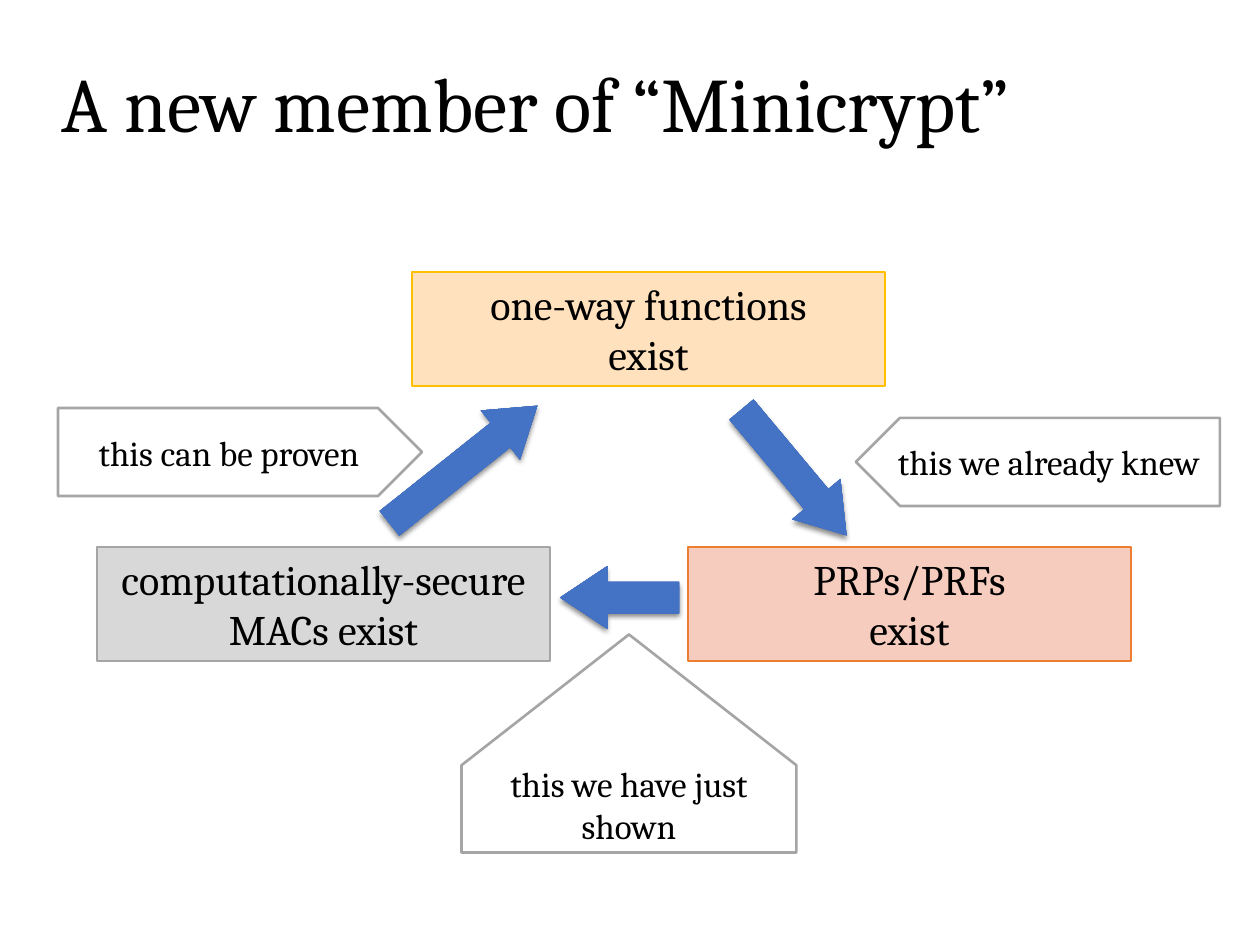
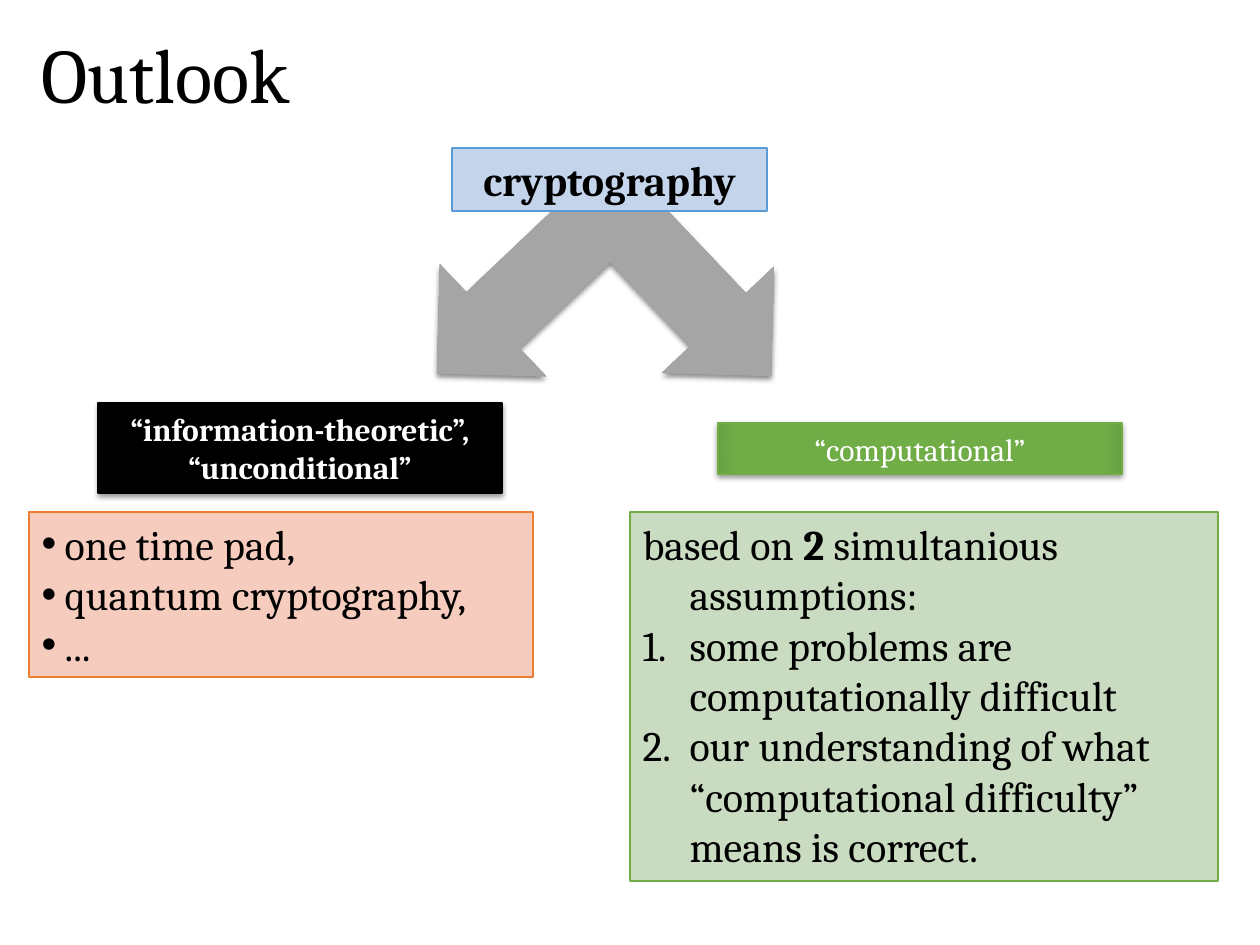
"""Build two slides on Minicrypt and the outlook for cryptography."""
from lxml import etree
from pptx import Presentation
from pptx.dml.color import RGBColor
from pptx.enum.shapes import MSO_SHAPE
from pptx.enum.text import MSO_ANCHOR, MSO_AUTO_SIZE, PP_ALIGN
from pptx.oxml.ns import qn
from pptx.util import Pt

RECT, PLATE = MSO_SHAPE.RECTANGLE, MSO_SHAPE.PENTAGON
RIGHT_ARROW, FORK = MSO_SHAPE.RIGHT_ARROW, MSO_SHAPE.LEFT_UP_ARROW
LEFT, CENTER = PP_ALIGN.LEFT, PP_ALIGN.CENTER
TOP, MIDDLE, BOTTOM = MSO_ANCHOR.TOP, MSO_ANCHOR.MIDDLE, MSO_ANCHOR.BOTTOM
FIXED_SIZE = MSO_AUTO_SIZE.NONE

SCALE = 914400 / 126
FONT = "Cambria"
TITLE_SIZE, BOX_SIZE, NOTE_SIZE, BRANCH_SIZE = 44, 24, 20, 18
THIN, THICK = 0.79, 1.5
COLORS = {
    "black": "000000", "white": "FFFFFF",
    "blue": "4472C4", "blue edge": "3F6AB7",
    "gray": "A5A5A5", "gray edge": "9A9A9A", "pale gray": "D8D8D8",
    "green": "70AD47", "green edge": "68A142", "pale green": "C9DBC1",
    "orange": "ED7D31", "pale orange": "F6CCBE",
    "gold": "FFC000", "pale gold": "FFE2BD",
    "sky": "5B9BD5", "pale sky": "C4D5EB",
}
ARROW_SHADOW, BRANCH_SHADOW = (45, 2), (40, 1.4)

MINICRYPT = {
    "title": ("A new member of “Minicrypt”", (49, 29, 1004, 158)),
    "claims": [
        ("computationally-secure\nMACs exist", (97, 547, 453, 114), "pale gray", "gray"),
        ("PRPs/PRFs\nexist", (688, 547, 443, 114), "pale orange", "orange"),
        ("one-way functions\nexist", (412, 272, 473, 114), "pale gold", "gold"),
    ],
    "implications": [
        ((369, 433, 189, 63), 321.5),
        ((560, 566, 119, 63), 180),
        ((712, 441, 164, 63), 50.1),
    ],
    "notes": [
        ("this we already knew", (856, 418, 364, 88), True),
        ("this can be proven", (58, 408, 364, 88), False),
    ],
    "upward note": ("this we have just shown", (520, 576, 218, 335), 0.6),
}
OUTLOOK = {
    "title": ("Outlook", (29, 0, 1182, 158)),
    "root": ("cryptography", (452, 148, 315, 63)),
    "fork": ((451, 161, 309, 318), 226.5),
    "unconditional": ("“information-theoretic”,\n“unconditional”", (98, 403, 404, 90)),
    "computational": ("“computational”", (718, 423, 404, 51)),
    "lists": [
        ((29, 512, 504, 165), "pale orange", "orange", 23,
         [("•", ["one time pad,"]),
          ("•", ["quantum cryptography,"]),
          ("•", ["..."])]),
        ((630, 512, 588, 369), "pale green", "green", 47,
         [(None, ["based on ", "2", " simultanious assumptions:"]),
          ("1.", ["some problems are computationally difficult"]),
          ("1.", ["our understanding of what “computational difficulty” means is correct."])]),
    ],
}


def px(length):
    return round(length * SCALE)


def rgb(name):
    return RGBColor.from_string(COLORS[name])


def place(shape, box):
    shape.left, shape.top, shape.width, shape.height = map(px, box)


def paint(shape, fill, line=None, weight=THIN):
    shape.fill.solid()
    shape.fill.fore_color.rgb = rgb(fill)
    if line:
        shape.line.color.rgb = rgb(line)
        shape.line.width = Pt(weight)
    else:
        shape.line.fill.background()


def style(frame, size, color="black", bold=False, align=CENTER, anchor=MIDDLE):
    frame.word_wrap = True
    frame.vertical_anchor = anchor
    for paragraph in frame.paragraphs:
        paragraph.alignment = align
        for run in paragraph.runs:
            run.font.name = FONT
            run.font.size = Pt(size)
            run.font.color.rgb = rgb(color)
            if bold:
                run.font.bold = True


def add_block(slide, preset, box, fill, line=None, weight=THIN, rotation=0, adjust=()):
    block = slide.shapes.add_shape(preset, *map(px, box))
    block.shadow.inherit = False
    block.rotation = rotation
    for index, value in enumerate(adjust):
        block.adjustments[index] = value
    paint(block, fill, line, weight)
    return block


def add_label(slide, preset, box, text, size, fill, line, weight=THIN, **look):
    label = add_block(slide, preset, box, fill, line, weight)
    label.text_frame.text = text
    style(label.text_frame, size, **look)
    return label


def shade_edge(shape, color):
    properties = shape.element.spPr
    gradient = etree.Element(qn("a:gradFill"), rotWithShape="1")
    stops = etree.SubElement(gradient, qn("a:gsLst"))
    for position, name in ((0, color), (90, color), (100, color + " edge")):
        stop = etree.SubElement(stops, qn("a:gs"), pos=str(position * 1000))
        etree.SubElement(stop, qn("a:srgbClr"), val=COLORS[name])
    circle = etree.SubElement(gradient, qn("a:path"), path="circle")
    etree.SubElement(circle, qn("a:fillToRect"), dict.fromkeys("ltrb", "100000"))
    properties.replace(properties.find(qn("a:solidFill")), gradient)


def cast_shadow(shape, opacity, distance):
    effects = shape.element.spPr.find(qn("a:effectLst"))
    shadow = etree.SubElement(effects, qn("a:outerShdw"), blurRad=str(Pt(3)),
                              dist=str(Pt(distance)), dir="5400000", rotWithShape="0")
    tint = etree.SubElement(shadow, qn("a:srgbClr"), val=COLORS["black"])
    etree.SubElement(tint, qn("a:alpha"), val=str(opacity * 1000))


def add_arrow(slide, preset, box, color, rotation, adjust=()):
    arrow = add_block(slide, preset, box, color, rotation=rotation, adjust=adjust)
    shade_edge(arrow, color)
    cast_shadow(arrow, *ARROW_SHADOW)


def mirror(shape):
    shape.element.spPr.find(qn("a:xfrm")).set("flipH", "1")


def set_marker(paragraph, marker, hang):
    properties = paragraph._p.get_or_add_pPr()
    properties.set("marL", str(px(hang)))
    properties.set("indent", str(-px(hang)))
    if marker == "•":
        etree.SubElement(properties, qn("a:buFont"), typeface="Arial")
        etree.SubElement(properties, qn("a:buChar"), char=marker)
    elif marker:
        etree.SubElement(properties, qn("a:buAutoNum"), type="arabicPeriod")
    else:
        etree.SubElement(properties, qn("a:buNone"))


def fill_list(holder, box, fill, line, hang, items):
    place(holder, box)
    paint(holder, fill, line)
    frame = holder.text_frame
    frame.auto_size = FIXED_SIZE
    for index, (marker, pieces) in enumerate(items):
        paragraph = frame.add_paragraph() if index else frame.paragraphs[0]
        paragraph.space_before = Pt(0)
        set_marker(paragraph, marker, hang)
        for position, piece in enumerate(pieces):
            run = paragraph.add_run()
            run.text = piece
            run.font.bold = position % 2 == 1
    style(frame, BOX_SIZE, align=LEFT, anchor=TOP)


def add_slide(deck, layout, title):
    slide = deck.slides.add_slide(deck.slide_layouts.get_by_name(layout))
    heading = slide.shapes.title
    text, box = title
    place(heading, box)
    heading.text_frame.text = text
    heading.text_frame.auto_size = FIXED_SIZE
    heading.text_frame.paragraphs[0].line_spacing = 0.9
    style(heading.text_frame, TITLE_SIZE, align=LEFT)
    return slide


def build_minicrypt(deck):
    slide = add_slide(deck, "Title Only", MINICRYPT["title"])
    for box, rotation in MINICRYPT["implications"]:
        add_arrow(slide, RIGHT_ARROW, box, "blue", rotation, (0.5, 0.75))
    for text, box, fill, line in MINICRYPT["claims"]:
        add_label(slide, RECT, box, text, BOX_SIZE, fill, line)
    for text, box, points_left in MINICRYPT["notes"]:
        note = add_label(slide, PLATE, box, text, NOTE_SIZE, "white", "gray", THICK)
        if points_left:
            mirror(note)
    text, box, tip = MINICRYPT["upward note"]
    note = add_label(slide, PLATE, box, text, NOTE_SIZE, "white", "gray", THICK, anchor=BOTTOM)
    note.rotation = 90
    note.adjustments[0] = tip
    mirror(note)
    note.text_frame._txBody.bodyPr.set("vert", "vert270")


def build_outlook(deck):
    slide = add_slide(deck, "Two Content", OUTLOOK["title"])
    for index, content in enumerate(OUTLOOK["lists"], 1):
        fill_list(slide.placeholders[index], *content)
    box, rotation = OUTLOOK["fork"]
    add_arrow(slide, FORK, box, "gray", rotation)
    text, box = OUTLOOK["root"]
    add_label(slide, RECT, box, text, BOX_SIZE, "pale sky", "sky", bold=True)
    for branch, color, bold in (("unconditional", "black", True), ("computational", "green", False)):
        text, box = OUTLOOK[branch]
        label = add_label(slide, RECT, box, text, BRANCH_SIZE, color, color,
                          color="white", bold=bold)
        cast_shadow(label, *BRANCH_SHADOW)
        if color == "green":
            shade_edge(label, color)


def main():
    deck = Presentation()
    deck.slide_width, deck.slide_height = px(1260), px(945)
    build_minicrypt(deck)
    build_outlook(deck)
    deck.save("out.pptx")


if __name__ == "__main__":
    main()
